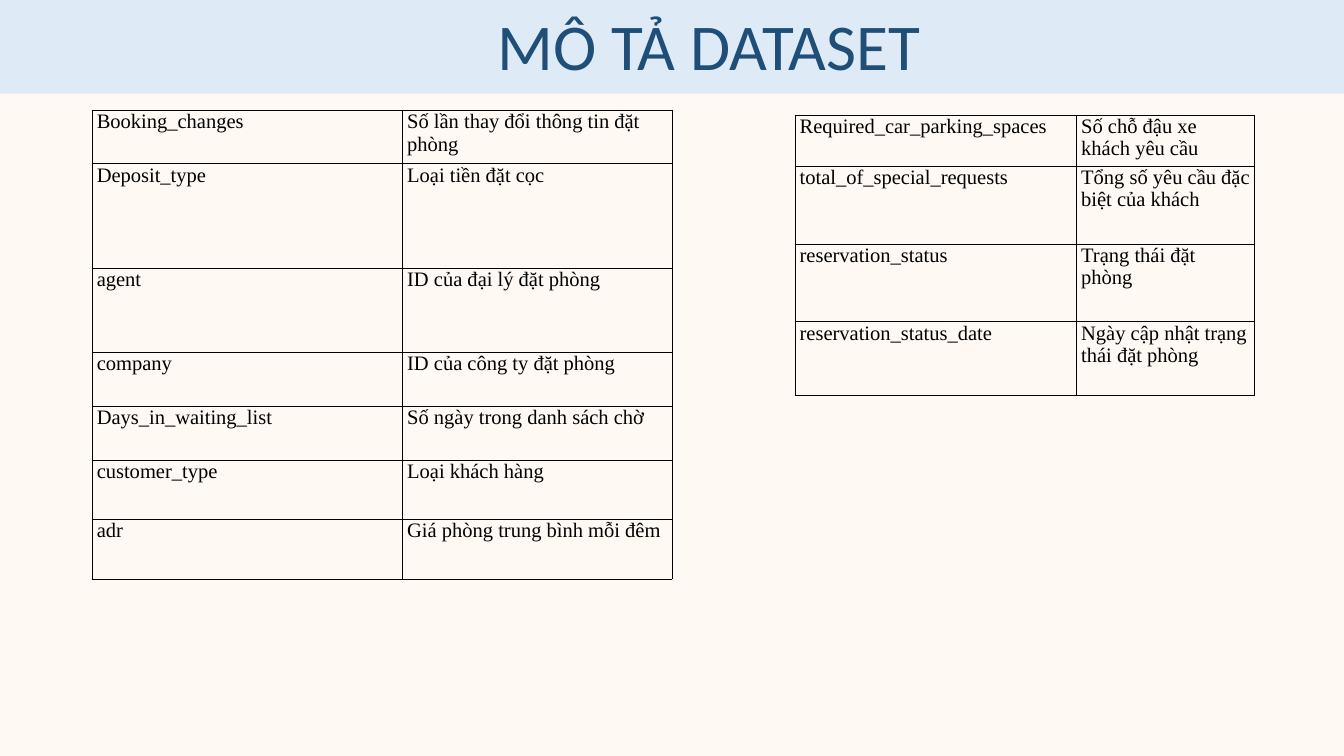
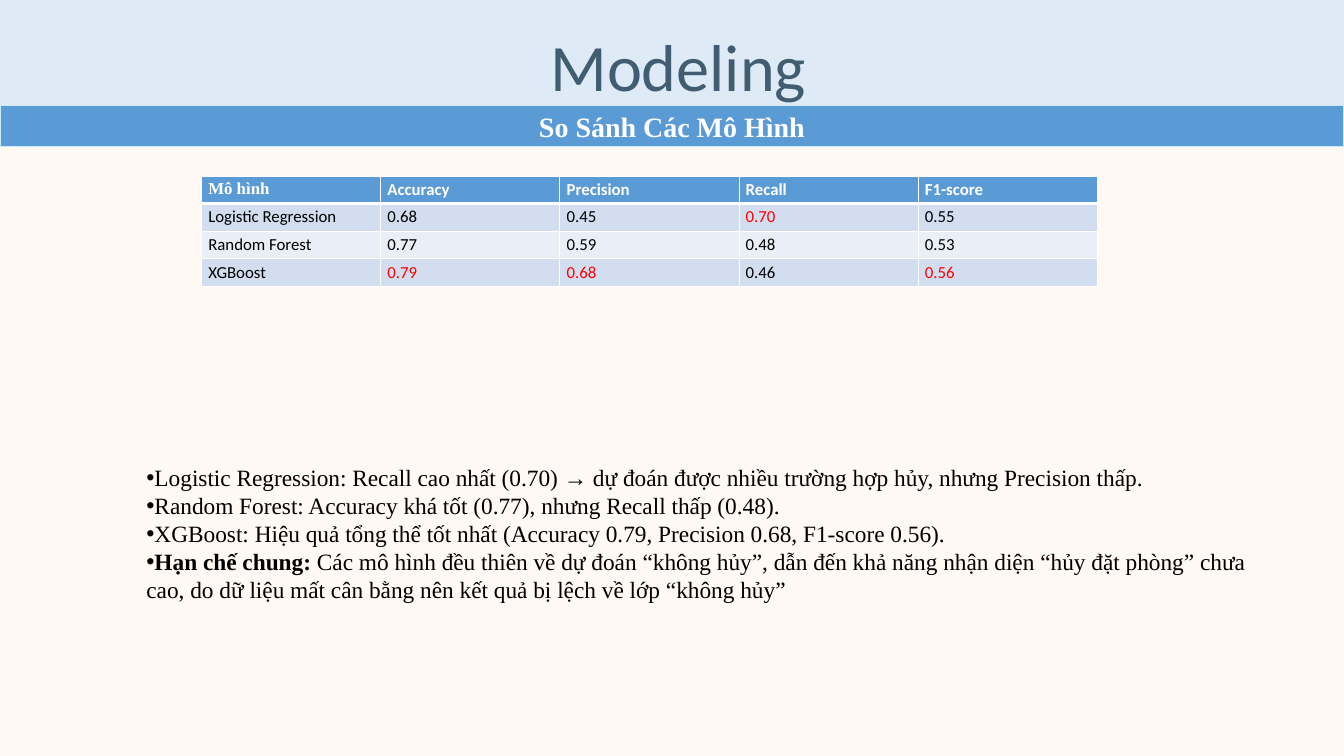
from lxml.etree import SubElement
from pptx import Presentation
from pptx.dml.color import RGBColor
from pptx.enum.shapes import MSO_SHAPE
from pptx.enum.text import MSO_ANCHOR, MSO_AUTO_SIZE, PP_ALIGN
from pptx.oxml.ns import qn
from pptx.util import Inches, Pt

COLORS = {
    "page": "FFF8F3", "band": "DEEBF7", "accent": "5B9BD5", "edge": "CCECFF",
    "navy": "1F4E79", "slate": "405D72", "black": "000000", "white": "FFFFFF",
    "best": "FF0000", "odd": "D2DEEF", "even": "EAEFF7",
}
SERIF, SANS = "Times New Roman", "Calibri"

BOOKING_FIELDS = [
    ("Booking_changes", "Số lần thay đổi thông tin đặt phòng"),
    ("Deposit_type", "Loại tiền đặt cọc"),
    ("agent", "ID của đại lý đặt phòng"),
    ("company", "ID của công ty đặt phòng"),
    ("Days_in_waiting_list", "Số ngày trong danh sách chờ"),
    ("customer_type", "Loại khách hàng"),
    ("adr", "Giá phòng trung bình mỗi đêm"),
]
REQUEST_FIELDS = [
    ("Required_car_parking_spaces", "Số chỗ đậu xe khách yêu cầu"),
    ("total_of_special_requests", "Tổng số yêu cầu đặc biệt của khách"),
    ("reservation_status", "Trạng thái đặt phòng"),
    ("reservation_status_date", "Ngày cập nhật trạng thái đặt phòng"),
]
SCORES = [
    ("Mô hình", "Accuracy", "Precision", "Recall", "F1-score"),
    ("Logistic Regression", "0.68", "0.45", "0.70", "0.55"),
    ("Random Forest", "0.77", "0.59", "0.48", "0.53"),
    ("XGBoost", "0.79", "0.68", "0.46", "0.56"),
]
FINDINGS = [
    ("", "Logistic Regression: Recall cao nhất (0.70) → dự đoán được nhiều trường hợp hủy, "
         "nhưng Precision thấp."),
    ("", "Random Forest: Accuracy khá tốt (0.77), nhưng Recall thấp (0.48)."),
    ("", "XGBoost: Hiệu quả tổng thể tốt nhất (Accuracy 0.79, Precision 0.68, F1-score 0.56)."),
    ("Hạn chế chung:", " Các mô hình đều thiên về dự đoán “không hủy”, dẫn đến khả năng nhận diện "
     "“hủy đặt phòng” chưa cao, do dữ liệu mất cân bằng nên kết quả bị lệch về lớp “không hủy”"),
]


def color(name):
    """Return the named colour."""
    return RGBColor.from_string(COLORS[name])


def write(para, text, size=22, font=SERIF, tint="black", bold=False,
          align=PP_ALIGN.LEFT, spacing=None):
    """Add one formatted span of text to a paragraph."""
    para.alignment = align
    if spacing:
        para.line_spacing = Pt(spacing)
    span = para.add_run()
    span.text = text
    span.font.size, span.font.name, span.font.bold = Pt(size), font, bold
    span.font.color.rgb = color(tint)


def add_bullet(para):
    """Put a bullet right before the paragraph's text."""
    properties = para._p.get_or_add_pPr()
    properties.set("marL", "0")
    properties.set("indent", "0")
    SubElement(properties, qn("a:buFont"), typeface="Arial")
    SubElement(properties, qn("a:buChar"), char="•")


def draw_borders(cell, tint, bottom_width=1):
    """Draw the four borders of a table cell."""
    properties = cell._tc.get_or_add_tcPr()
    for side, width in (("L", 1), ("R", 1), ("T", 1), ("B", bottom_width)):
        line = SubElement(properties, qn(f"a:ln{side}"), w=str(int(Pt(width))))
        fill = SubElement(line, qn("a:solidFill"))
        SubElement(fill, qn("a:srgbClr"), val=COLORS[tint])


class SlideBuilder:
    """Hold the shared style, a grid of 100 columns by 75 rows, and the current page."""

    columns, rows = 100, 75

    def __init__(self):
        """Open an empty deck."""
        self.deck = Presentation()
        self.deck.slide_width, self.deck.slide_height = Inches(20), Inches(11.25)
        self.page = None

    def across(self, count):
        """Turn grid columns into a length."""
        return round(self.deck.slide_width * count / self.columns)

    def down(self, count):
        """Turn grid rows into a length."""
        return round(self.deck.slide_height * count / self.rows)

    def area(self, left, top, width, height):
        """Turn a grid area into lengths."""
        return self.across(left), self.down(top), self.across(width), self.down(height)

    def start_page(self, title, title_area, band_height, **style):
        """Add a page with its header band and title."""
        self.page = self.deck.slides.add_slide(self.deck.slide_layouts[5])
        self.page.background.fill.solid()
        self.page.background.fill.fore_color.rgb = color("page")
        box = self.page.shapes.title
        box.left, box.top, box.width, box.height = self.area(*title_area)
        frame = box.text_frame
        frame.vertical_anchor, frame.auto_size = MSO_ANCHOR.TOP, MSO_AUTO_SIZE.NONE
        write(frame.paragraphs[0], title, font=SANS, **style)
        band = self.add_band((0, 0, self.columns, band_height), "band")
        box.element.addprevious(band.element)

    def add_band(self, area, fill, edge=None, text="", **style):
        """Add a filled band, with an edge and text if given."""
        band = self.page.shapes.add_shape(MSO_SHAPE.RECTANGLE, *self.area(*area))
        band.shadow.inherit = False
        band.fill.solid()
        band.fill.fore_color.rgb = color(fill)
        if edge:
            band.line.color.rgb = color(edge)
            band.line.width = Pt(1)
        else:
            band.line.fill.background()
        if text:
            write(band.text_frame.paragraphs[0], text, align=PP_ALIGN.CENTER, **style)
        return band

    def add_grid(self, left, top, widths, heights):
        """Add a plain table with the given column widths and row heights."""
        place = self.area(left, top, sum(widths), sum(heights))
        table = self.page.shapes.add_table(len(heights), len(widths), *place).table
        table.first_row = table.horz_banding = False
        for column, width in zip(table.columns, widths):
            column.width = self.across(width)
        for row, height in zip(table.rows, heights):
            row.height = self.down(height)
        return table

    def add_field_table(self, left, top, widths, heights, fields):
        """Add an outlined table of field names and meanings."""
        table = self.add_grid(left, top, widths, heights)
        for row, field in zip(table.rows, fields):
            for cell, text in zip(row.cells, field):
                draw_borders(cell, "black")
                cell.fill.background()
                cell.margin_left = cell.margin_right = Inches(0.07)
                cell.margin_top = cell.margin_bottom = 0
                write(cell.text_frame.paragraphs[0], text)

    def add_score_table(self, left, top, width, height, scores):
        """Add a banded table that marks the best score of each column."""
        header, *models = scores
        table = self.add_grid(left, top, [width] * len(header), [height] * len(scores))
        best = [max(values) for values in zip(*models)]
        for index, (row, values) in enumerate(zip(table.rows, scores)):
            is_header = index == 0
            fill = "accent" if is_header else ("even", "odd")[index % 2]
            for place, (cell, text) in enumerate(zip(row.cells, values)):
                draw_borders(cell, "white", bottom_width=3 if is_header else 1)
                cell.fill.solid()
                cell.fill.fore_color.rgb = color(fill)
                is_best = place > 0 and text == best[place]
                tint = "white" if is_header else "best" if is_best else "black"
                font = SERIF if is_header and place == 0 else SANS
                write(cell.text_frame.paragraphs[0], text, size=18, font=font,
                      tint=tint, bold=is_header)

    def add_bullets(self, area, items, size):
        """Add a bulleted list whose items may have a bold lead."""
        frame = self.page.shapes.add_textbox(*self.area(*area)).text_frame
        frame.word_wrap = True
        frame.vertical_anchor = MSO_ANCHOR.MIDDLE
        frame.margin_bottom = Inches(0.47)
        for index, (lead, text) in enumerate(items):
            para = frame.add_paragraph() if index else frame.paragraphs[0]
            add_bullet(para)
            if lead:
                write(para, lead, size=size, bold=True)
            write(para, text, size=size)


def main():
    """Build the dataset and modeling pages."""
    builder = SlideBuilder()

    builder.start_page("MÔ TẢ DATASET", (36.5, 0.2, 43.4, 8.53), 9.3, size=70, tint="navy")
    builder.add_field_table(6.85, 10.93, [23.1, 20.05],
                            [5.33, 10.4, 8.33, 5.33, 5.33, 5.87, 5.93], BOOKING_FIELDS)
    builder.add_field_table(59.15, 11.4, [20.95, 13.25], [5.07, 7.73, 7.73, 7.33],
                            REQUEST_FIELDS)

    builder.start_page("Modeling", (0.95, -0.2, 99.05, 10.7), 10.5, size=71, tint="slate",
                       align=PP_ALIGN.CENTER, spacing=110.8)
    builder.add_band((0, 10.5, 100, 4.07), "accent", edge="edge", text="So Sánh Các Mô Hình",
                     size=30, tint="white", bold=True)
    builder.add_score_table(15, 17.47, 13.33, 2.73, SCORES)
    builder.add_bullets((10.4, 45.53, 85, 17.53), FINDINGS, size=25)

    builder.deck.save("out.pptx")


if __name__ == "__main__":
    main()
